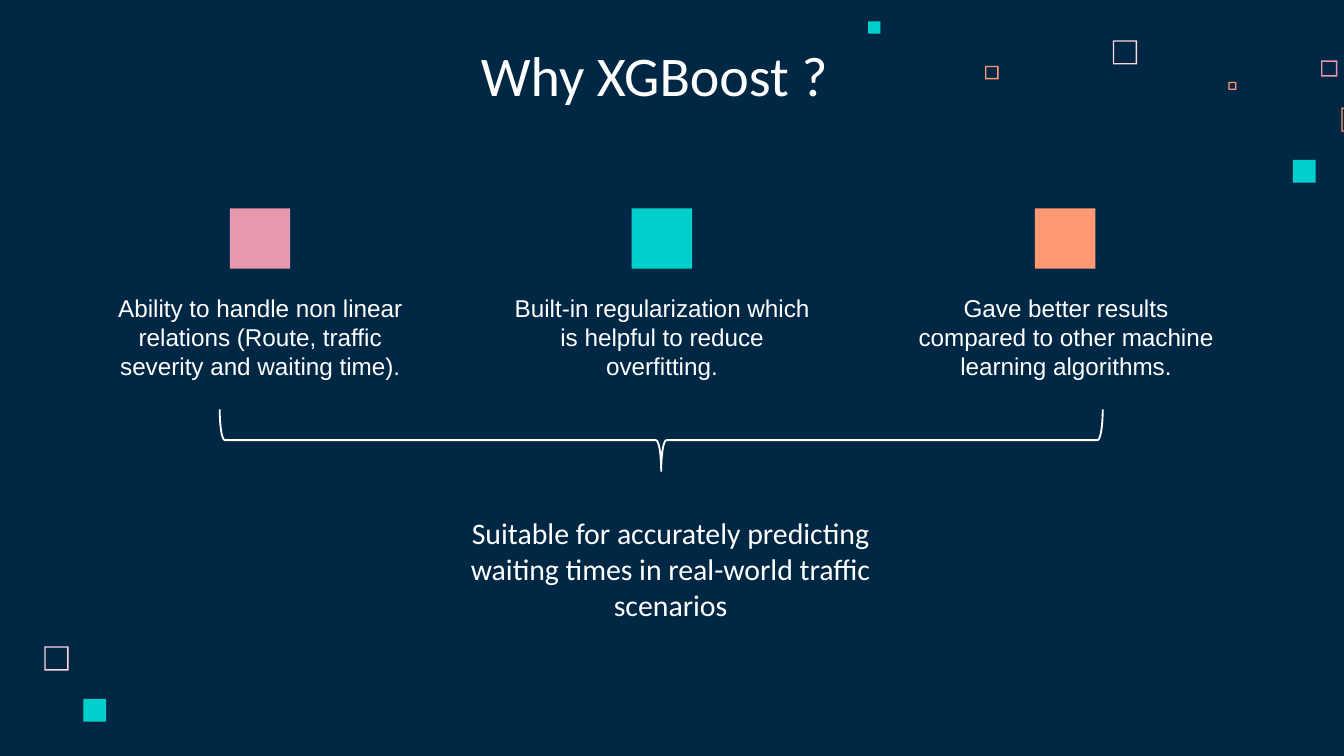
from typing import NamedTuple

from pptx import Presentation
from pptx.dml.color import RGBColor
from pptx.enum.shapes import MSO_SHAPE as Form
from pptx.enum.text import MSO_ANCHOR as Anchor, PP_ALIGN as Align
from pptx.util import Inches, Pt

NAVY, WHITE = "002845", "FFFFFF"
TEAL, CORAL, ROSE, BLUSH = "00CFCC", "FF9973", "E898AC", "FFD6E1"
WIDTH = 10
HEIGHT = WIDTH * 9 / 16
RIM = 0.01


class Box(NamedTuple):
    left: float
    top: float
    width: float
    height: float


class Deco(NamedTuple):
    left: float
    top: float
    size: float
    tint: str
    hollow: bool = True


class Point(NamedTuple):
    mark: float
    left: float
    width: float
    tint: str
    text: str


DECOS = [
    Deco(8.28, 0.3, 0.18, BLUSH),
    Deco(9.83, 0.45, 0.12, ROSE),
    Deco(9.14, 0.61, 0.06, CORAL),
    Deco(9.98, 0.8, 0.18, CORAL),
    Deco(9.62, 1.19, 0.17, TEAL, False),
    Deco(7.33, 0.49, 0.1, CORAL),
    Deco(6.46, 0.16, 0.09, TEAL, False),
    Deco(0.33, 4.81, 0.18, BLUSH),
    Deco(0.62, 5.2, 0.17, TEAL, False),
]

POINTS = [
    Point(1.71, 0.73, 2.41, ROSE,
          "Ability to handle non linear relations (Route, traffic severity and waiting time)."),
    Point(4.7, 3.72, 2.41, TEAL,
          "Built-in regularization which is helpful to reduce overfitting."),
    Point(7.7, 6.69, 2.48, CORAL,
          "Gave better results compared to other machine learning algorithms."),
]


def color(tint: str) -> RGBColor:
    return RGBColor.from_string(tint)


def add_form(slide, form: Form, box: Box):
    shape = slide.shapes.add_shape(form, *map(Inches, box))
    shape.shadow.inherit = False
    return shape


def add_block(slide, box: Box, tint: str, form: Form = Form.RECTANGLE):
    shape = add_form(slide, form, box)
    shape.fill.solid()
    shape.fill.fore_color.rgb = color(tint)
    shape.line.fill.background()
    return shape


def add_deco(slide, deco: Deco) -> None:
    form = Form.FRAME if deco.hollow else Form.RECTANGLE
    shape = add_block(slide, Box(deco.left, deco.top, deco.size, deco.size), deco.tint, form)
    if deco.hollow:
        shape.adjustments[0] = RIM / deco.size


def add_text(slide, box: Box, text: str, font: str, size: int,
             align: Align = Align.CENTER, anchor: Anchor = Anchor.TOP) -> None:
    frame = slide.shapes.add_textbox(*map(Inches, box)).text_frame
    frame.word_wrap = True
    frame.vertical_anchor = anchor
    frame.margin_left = frame.margin_right = Inches(0.1)
    frame.margin_top = frame.margin_bottom = Inches(0.1)
    para = frame.paragraphs[0]
    para.text = text
    para.alignment = align
    para.font.name = font
    para.font.size = Pt(size)
    para.font.color.rgb = color(WHITE)


def add_brace(slide, box: Box) -> None:
    brace = add_form(slide, Form.LEFT_BRACE, box)
    brace.rotation = 270
    brace.fill.background()
    brace.line.color.rgb = color(WHITE)
    brace.line.width = Pt(1)


def main() -> None:
    deck = Presentation()
    deck.slide_width, deck.slide_height = Inches(WIDTH), Inches(HEIGHT)
    slide = deck.slides.add_slide(deck.slide_layouts[6])
    slide.background.fill.solid()
    slide.background.fill.fore_color.rgb = color(NAVY)

    for deco in DECOS:
        add_deco(slide, deco)
    add_text(slide, Box(3.48, 0.27, 5.99, 0.63), "Why XGBoost ?", "Calibri", 30,
             Align.LEFT, Anchor.BOTTOM)
    for point in POINTS:
        add_block(slide, Box(point.mark, 1.55, 0.45, 0.45), point.tint)
        add_text(slide, Box(point.left, 2.08, point.width, 0.9), point.text, "Arial", 13)
    add_text(slide, Box(3.09, 4.23, 3.8, 0.5),
             "Suitable for accurately predicting waiting times in real-world traffic scenarios",
             "Calibri", 16, anchor=Anchor.BOTTOM)
    add_brace(slide, Box(4.69, -0.01, 0.46, 6.57))
    deck.save("out.pptx")


if __name__ == "__main__":
    main()
